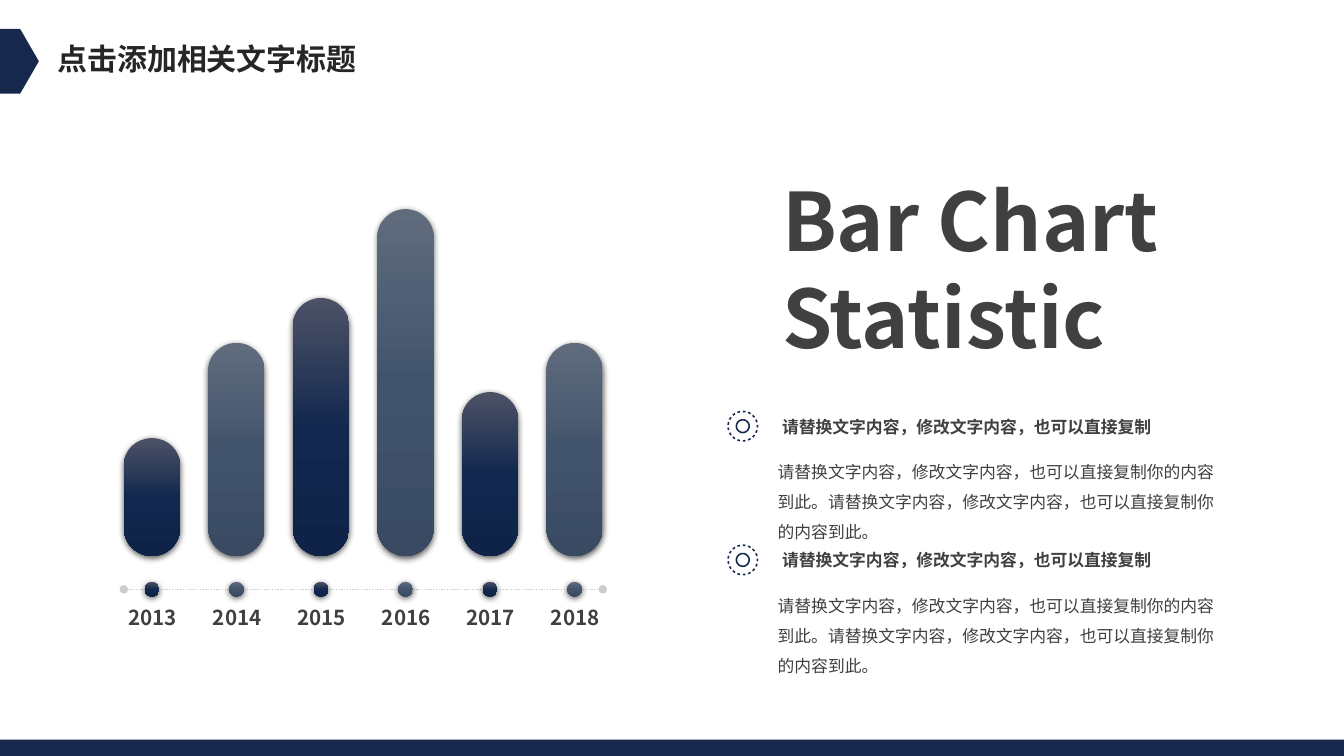
import math

import pptx
import pptx.dml.color
import pptx.enum.dml
import pptx.enum.shapes
import pptx.enum.text
import pptx.oxml
import pptx.oxml.ns
import pptx.util
from copy import deepcopy
from pptx.util import Cm, Pt

FONT = "Noto Sans CJK SC"
NAVY = "16294C"
GREY = "404040"
GRADIENTS = [("4D5266", "13284F", "0F2348"), ("606B7D", "42546C", "394A62")]
SHADOW = (
    '<a:outerShdw xmlns:a="http://schemas.openxmlformats.org/drawingml/2006/main"'
    ' blurRad="57150" dist="19050" dir="5400000" algn="t" rotWithShape="0">'
    '<a:srgbClr val="000000"><a:alpha val="63000"/></a:srgbClr></a:outerShdw>'
)
YEAR_HEIGHTS = {"2013": 2.97, "2014": 5.37, "2015": 6.5, "2016": 8.74, "2017": 4.13, "2018": 5.37}
BAR_LEFT, BAR_PITCH, BAR_WIDTH, BAR_BOTTOM = 3.12, 2.13, 1.42, 14.01
AXIS_Y, DOT_SIZE, YEAR_WIDTH = 14.85, 0.37, 1.86
HEADING = "请替换文字内容，修改文字内容，也可以直接复制"
DETAIL = "请替换文字内容，修改文字内容，也可以直接复制你的内容到此。请替换文字内容，修改文字内容，也可以直接复制你的内容到此。"
ITEM_TOPS = [10.36, 13.73]

SHAPE = pptx.enum.shapes.MSO_SHAPE
ANCHOR = pptx.enum.text.MSO_ANCHOR
qn = pptx.oxml.ns.qn


def rgb(hex_color):
    """Turn a hex string into a colour."""
    return pptx.dml.color.RGBColor.from_string(hex_color)


def apply(target, values):
    """Set each attribute in values on target."""
    for name, value in values.items():
        setattr(target, name, value)


def add_text(shapes, box, lines, font, paragraph=None, frame=None):
    """Add a text box with one paragraph per line."""
    textbox = shapes.add_textbox(*map(Cm, box))
    defaults = {"word_wrap": True, "auto_size": pptx.enum.text.MSO_AUTO_SIZE.SHAPE_TO_FIT_TEXT}
    apply(textbox.text_frame, defaults | (frame or {}))
    textbox.text_frame.text = "\n".join(lines)
    for line in textbox.text_frame.paragraphs:
        apply(line, paragraph or {})
        run = line.runs[0]
        size, color, bold = font
        apply(run.font, {"name": FONT, "size": Pt(size), "bold": bold})
        run.font.color.rgb = rgb(color)
        east_asian = deepcopy(run.font._element.find(qn("a:latin")))
        east_asian.tag = qn("a:ea")
        run.font._element.find(qn("a:latin")).addnext(east_asian)


def paint_flat(shape, color):
    """Fill a shape with one colour, without outline or shadow."""
    shape.fill.solid()
    shape.fill.fore_color.rgb = rgb(color)
    shape.line.fill.background()
    shape.shadow.inherit = False


def add_flat(shapes, kind, box):
    """Add a navy preset shape."""
    shape = shapes.add_shape(kind, *map(Cm, box))
    paint_flat(shape, NAVY)
    return shape


def add_shaded(shapes, kind, box, colors):
    """Add a preset shape with a vertical gradient and a soft shadow."""
    shape = add_flat(shapes, kind, box)
    shape.fill.gradient()
    shape.fill.gradient_angle = 270
    properties = shape.element.spPr
    stop_list = properties.find(qn("a:gradFill")).find(qn("a:gsLst"))
    stop_list.append(deepcopy(stop_list[-1]))
    for stop, color, position in zip(shape.fill.gradient_stops, colors, (0, 0.5, 1)):
        stop.color.rgb = rgb(color)
        stop.position = position
    properties.find(qn("a:effectLst")).append(pptx.oxml.parse_xml(SHADOW))
    return shape


def add_axis(shapes, left, right):
    """Add the dotted axis with round ends."""
    axis = shapes.add_connector(
        pptx.enum.shapes.MSO_CONNECTOR.STRAIGHT, Cm(left), Cm(AXIS_Y), Cm(right), Cm(AXIS_Y)
    )
    axis.line.color.rgb = rgb("CCCCCA")
    apply(axis.line, {"width": Pt(1), "dash_style": pptx.enum.dml.MSO_LINE.ROUND_DOT})
    for tag in ("a:headEnd", "a:tailEnd"):
        end = pptx.oxml.xmlchemy.OxmlElement(tag)
        end.set("type", "oval")
        axis.line._ln.append(end)
    axis.element.spPr.append(pptx.oxml.xmlchemy.OxmlElement("a:effectLst"))


def arc(center, radius, start, end, steps):
    """Return points along an arc, with angles in degrees."""
    angles = [math.radians(start + (end - start) * i / steps) for i in range(steps + 1)]
    return [
        (Cm(center[0] + radius * math.cos(a)), Cm(center[1] + radius * math.sin(a))) for a in angles
    ]


def add_bullet(shapes, center, dashes=17):
    """Add a ring inside a dashed circle as one outline."""
    pitch = 360 / dashes
    outlines = [arc(center, radius, 0, 360, 48) for radius in (0.18, 0.14)]
    for i in range(dashes):
        start, end = (i - 0.25) * pitch, (i + 0.25) * pitch
        outlines.append(arc(center, 0.39, start, end, 4) + arc(center, 0.35, end, start, 4))
    builder = shapes.build_freeform(*outlines[0][0], scale=1.0)
    for outline in outlines:
        builder.move_to(*outline[0])
        builder.add_line_segments(outline[1:], close=True)
    paint_flat(builder.convert_to_shape(), NAVY)


def add_bar_chart(shapes):
    """Add the rounded bars above their timeline of years."""
    timeline = shapes.add_group_shape().shapes
    add_axis(timeline, BAR_LEFT, BAR_LEFT + 5 * BAR_PITCH + BAR_WIDTH)
    year_format = {"alignment": pptx.enum.text.PP_ALIGN.CENTER, "space_before": Pt(2.9)}
    margins = dict.fromkeys(("margin_left", "margin_top", "margin_right", "margin_bottom"), 0)
    for i, (year, height) in enumerate(YEAR_HEIGHTS.items()):
        left = BAR_LEFT + i * BAR_PITCH
        middle = left + BAR_WIDTH / 2
        colors = GRADIENTS[i % 2]
        bar_box = (left, BAR_BOTTOM - height, BAR_WIDTH, height)
        add_shaded(shapes, SHAPE.ROUNDED_RECTANGLE, bar_box, colors).adjustments[0] = 0.5
        dot_box = (middle - DOT_SIZE / 2, AXIS_Y - DOT_SIZE / 2, DOT_SIZE, DOT_SIZE)
        add_shaded(timeline, SHAPE.OVAL, dot_box, colors)
        year_box = (middle - YEAR_WIDTH / 2 + 0.02, 15.24, YEAR_WIDTH, 0.63)
        add_text(timeline, year_box, [year], (14.7, GREY, True), year_format,
                 margins | {"vertical_anchor": ANCHOR.BOTTOM})


def add_item(shapes, top):
    """Add a bulleted heading with its detail text."""
    add_bullet(shapes, (18.72, top + 0.38))
    add_text(shapes, (19.46, top + 0.02, 9.91, 0.76), [HEADING], (12, GREY, True),
             {"line_spacing": Pt(13.7)}, {"word_wrap": False, "vertical_anchor": ANCHOR.MIDDLE})
    margins = {"margin_left": Cm(0.3), "margin_right": Cm(0.3),
               "margin_top": Cm(0.15), "margin_bottom": Cm(0.15)}
    add_text(shapes, (19.3, top + 0.87, 11.71, 2.62), [DETAIL], (12, GREY, False),
             {"line_spacing": 1.5, "space_before": Pt(2.4)}, margins)


def main():
    """Build the slide and save it."""
    deck = pptx.Presentation()
    apply(deck, {"slide_width": Cm(33.87), "slide_height": Cm(19.05)})
    shapes = deck.slides.add_slide(deck.slide_layouts[6]).shapes
    add_flat(shapes, SHAPE.PENTAGON, (0, 0.73, 0.98, 1.63)).adjustments[0] = 0.48
    add_text(shapes, (1.2, 0.91, 8.13, 1.17), ["点击添加相关文字标题"], (21.4, "262626", True),
             frame={"word_wrap": False})
    add_bar_chart(shapes)
    add_text(shapes, (19.46, 4.19, 14.02, 5.18), ["Bar Chart", "Statistic"], (57.5, GREY, True))
    for top in ITEM_TOPS:
        add_item(shapes, top)
    add_flat(shapes, SHAPE.RECTANGLE, (0, 18.64, 33.87, 0.41))
    deck.save("out.pptx")


if __name__ == "__main__":
    main()
